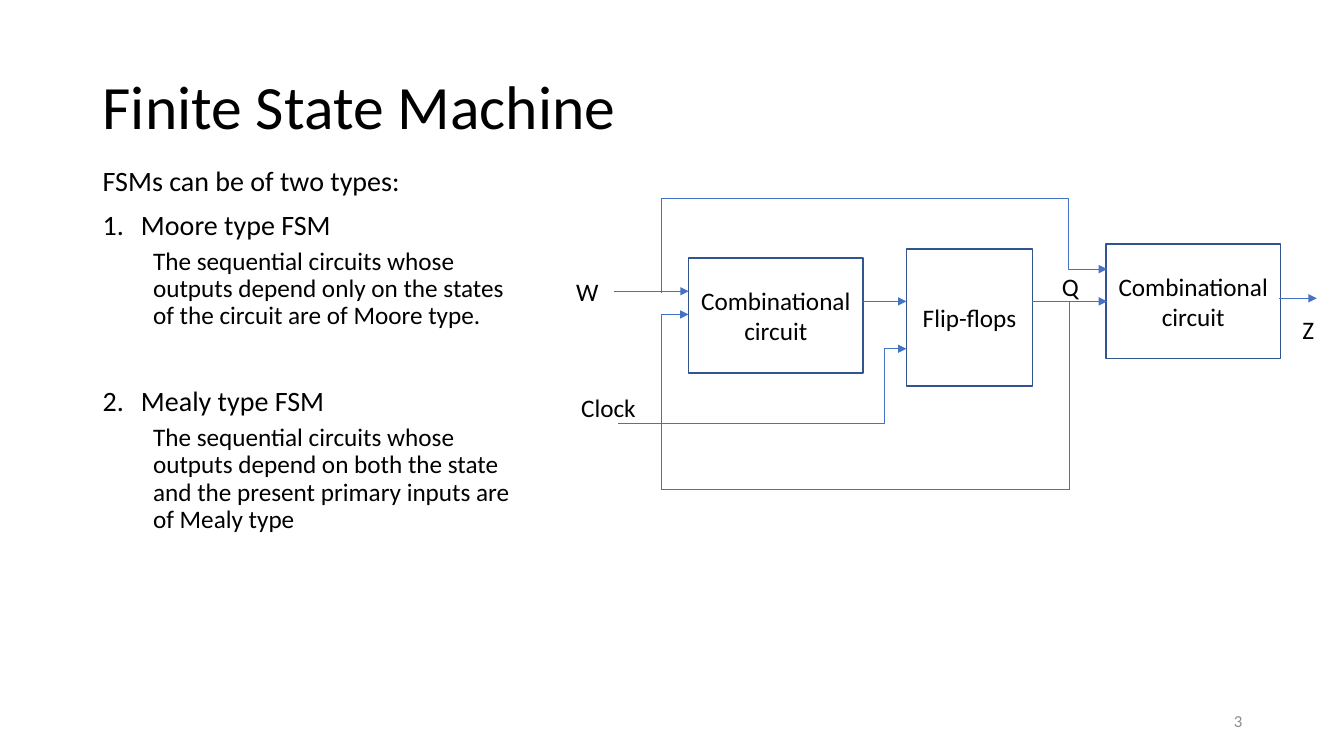
from lxml import etree
from pptx import Presentation
from pptx.dml.color import RGBColor
from pptx.enum.shapes import MSO_CONNECTOR, MSO_SHAPE
from pptx.enum.text import MSO_ANCHOR, PP_ALIGN
from pptx.oxml.ns import qn
from pptx.util import Inches, Pt

BLACK, GREY, BORDER, WIRE = "000000", "8C8C8C", "325491", "4472C4"


def rgb(value):
    """Turn a hex string into a colour."""
    return RGBColor.from_string(value)


def add_xml(parent, tag, **attrs):
    """Append a drawing element with the given attributes."""
    child = etree.SubElement(parent, qn(tag))
    for name, value in attrs.items():
        child.set(name, str(value))
    return child


def write(tf, lines, size=18, color=BLACK, anchor=MSO_ANCHOR.TOP, **fmt):
    """Write one paragraph per line and return the paragraphs."""
    tf.word_wrap, tf.vertical_anchor = True, anchor
    for i, line in enumerate(lines):
        p = tf.add_paragraph() if i else tf.paragraphs[0]
        for name, value in fmt.items():
            setattr(p, name, value)
        r = p.add_run()
        r.text = line
        for name, value in {"size": Pt(size), "name": "Calibri"}.items():
            setattr(r.font, name, value)
        r.font.color.rgb = rgb(color)
    return tf.paragraphs


def text_box(s, box, lines, **fmt):
    """Place a text box and fill it."""
    tf = s.shapes.add_textbox(*map(Inches, box)).text_frame
    return write(tf, lines, **fmt)


def block(s, box, lines):
    """Draw one outlined circuit block."""
    sp = s.shapes.add_shape(MSO_SHAPE.RECTANGLE, *map(Inches, box))
    sp.shadow.inherit = False
    sp.fill.background()
    sp.line.color.rgb, sp.line.width = rgb(BORDER), Pt(1)
    write(sp.text_frame, lines, anchor=MSO_ANCHOR.MIDDLE, alignment=PP_ALIGN.CENTER)


def wire(s, start, end, arrow=None, bend=None, corner=False):
    """Draw a wire, bent at a share of its width or at one corner."""
    kind = MSO_CONNECTOR.ELBOW if bend or corner else MSO_CONNECTOR.STRAIGHT
    c = s.shapes.add_connector(kind, *map(Inches, (*start, *end)))
    c.line.color.rgb, c.line.width = rgb(WIRE), Pt(0.5)
    if arrow:
        add_xml(c.line._get_or_add_ln(), arrow, type="triangle")
    add_xml(c._element.spPr, "a:effectLst")
    geom = c._element.spPr.find(qn("a:prstGeom"))
    if corner:
        geom.set("prst", "bentConnector2")
    if bend:
        guides = geom.find(qn("a:avLst"))
        if guides is None:
            guides = add_xml(geom, "a:avLst")
        add_xml(guides, "a:gd", name="adj1", fmla=f"val {round(bend * 100000)}")


def type_list(s, box):
    """Write the numbered list of machine types."""
    items = [
        ("FSMs can be of two types:", None, 10),
        ("Moore type FSM", 1, 10),
        ("The sequential circuits whose outputs depend only on the states "
         "of the circuit are of Moore type.", 0, 5),
        ("Mealy type FSM", 2, 41),
        ("The sequential circuits whose outputs depend on both the state "
         "and the present primary inputs are of Mealy type", 0, 5),
    ]
    paragraphs = text_box(s, box, [item[0] for item in items], size=20, line_spacing=0.9)
    for p, (_, number, before) in zip(paragraphs, items):
        p.space_before = Pt(before)
        if number is None:
            continue
        pPr = p._p.get_or_add_pPr()
        margin, indent = (0.38, -0.38) if number else (0.5, 0)
        pPr.set("marL", str(Inches(margin)))
        pPr.set("indent", str(Inches(indent)))
        if number:
            add_xml(pPr, "a:buAutoNum", type="arabicPeriod", startAt=number)
        else:
            p.level = 1
            p.runs[0].font.size = Pt(18)


def circuit(s, box):
    """Draw the block diagram from the top left corner of its box."""
    left, top = box[:2]

    def at(x, y):
        return left + x, top + y

    for x, y, w, h, lines in [
        (1.28, 0.6, 1.73, 1.14, ["Combinational", "circuit"]),
        (5.42, 0.46, 1.73, 1.14, ["Combinational", "circuit"]),
        (3.44, 0.51, 1.25, 1.36, ["Flip-flops"]),
    ]:
        block(s, (*at(x, y), w, h), lines)
    for x, y, w, label in [
        (0.01, 0.73, 0.53, "W"), (0, 1.88, 0.97, "Clock"),
        (7.16, 1.11, 0.53, "Z"), (4.8, 0.68, 0.53, "Q"),
    ]:
        text_box(s, (*at(x, y), w, 0.4), [label], alignment=PP_ALIGN.CENTER)

    head, tail = "a:headEnd", "a:tailEnd"
    for start, end, fmt in [
        ((0.58, 2.24), (3.44, 1.5), {"arrow": tail, "bend": 0.924}),
        ((0.54, 0.93), (1.28, 0.93), {"arrow": tail}),
        ((3.01, 1.03), (3.44, 1.03), {"arrow": tail}),
        ((4.69, 1.03), (5.43, 1.03), {"arrow": tail}),
        ((5.06, 1.03), (5.06, 2.89), {}),
        ((5.06, 2.89), (1.01, 2.89), {}),
        ((1.28, 1.16), (1.01, 2.89), {"arrow": head, "corner": True}),
        ((7.14, 1), (7.51, 1), {"arrow": tail}),
        ((1.01, 0.95), (1.01, 0.01), {}),
        ((1.01, 0.01), (5.43, 0.71), {"arrow": tail, "bend": 0.914}),
    ]:
        wire(s, at(*start), at(*end), **fmt)


def main():
    """Build the slide and save it."""
    prs = Presentation()
    prs.slide_width, prs.slide_height = Inches(13.33), Inches(7.5)
    s = prs.slides.add_slide(prs.slide_layouts[6])
    text_box(s, (0.92, 0.66, 11.5, 0.86), ["Finite State Machine"],
             size=44, anchor=MSO_ANCHOR.MIDDLE, line_spacing=0.9)
    type_list(s, (0.92, 1.61, 4.3, 4.75))
    circuit(s, (5.55, 1.96, 7.69, 2.89))
    text_box(s, (9.42, 6.95, 3, 0.4), ["3"], size=12, color=GREY,
             anchor=MSO_ANCHOR.MIDDLE, alignment=PP_ALIGN.RIGHT)
    prs.save("out.pptx")


if __name__ == "__main__":
    main()
